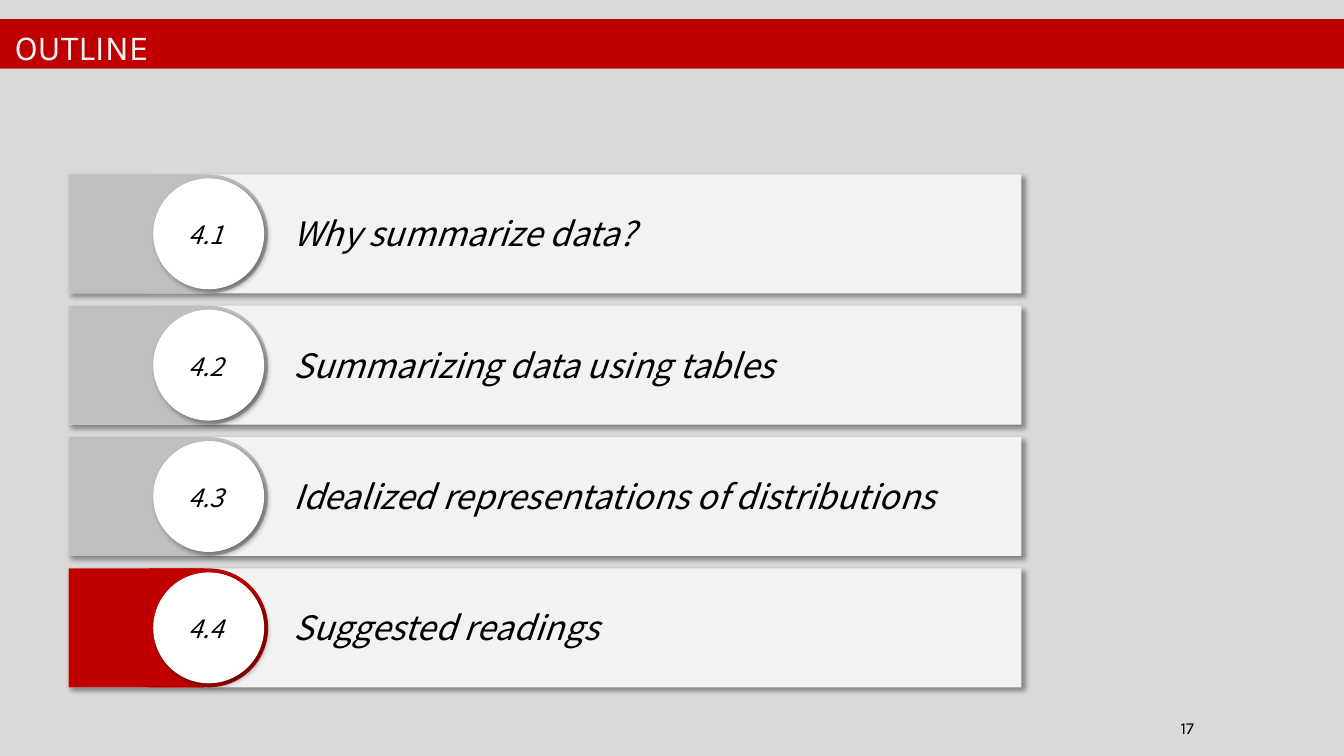
from lxml import etree
from pptx import Presentation
from pptx.dml.color import RGBColor
from pptx.enum import shapes, text
from pptx.oxml.ns import qn
from pptx.util import Inches, Pt

RED = RGBColor(0xC0, 0x00, 0x00)
BACKDROP = RGBColor(0xD9, 0xD9, 0xD9)
PANEL = RGBColor(0xF2, 0xF2, 0xF2)
GREY = RGBColor(0xBF, 0xBF, 0xBF)
WHITE = RGBColor(0xFF, 0xFF, 0xFF)
BLACK = RGBColor(0x00, 0x00, 0x00)
HEADING_FONT = "Karla"
BODY_FONT = "Noto Sans CJK JP"
SHAPE = shapes.MSO_SHAPE

TOPICS = [
    ("4.1", "Why summarize data?", GREY),
    ("4.2", "Summarizing data using tables", GREY),
    ("4.3", "Idealized representations of distributions", GREY),
    ("4.4", "Suggested readings", RED),
]
ROW_HEIGHT = 1.18
ROW_PITCH = 1.303


def add_block(page, kind, left, top, width, height, color, shadowed=False):
    """Add a borderless filled shape, with a soft shadow if asked."""
    block = page.shapes.add_shape(
        kind, Inches(left), Inches(top), Inches(width), Inches(height))
    block.fill.solid()
    block.fill.fore_color.rgb = color
    block.line.fill.background()
    block.shadow.inherit = False
    if shadowed:
        effects = block.element.spPr.find(qn("a:effectLst"))
        shadow = etree.SubElement(
            effects, qn("a:outerShdw"), blurRad=str(Pt(4)), dist=str(Pt(3)),
            dir=str(45 * 60000), algn="tl", rotWithShape="0")
        tint = etree.SubElement(shadow, qn("a:srgbClr"), val=str(BLACK))
        etree.SubElement(tint, qn("a:alpha"), val="40000")
    return block


def add_label(page, left, top, width, height, words, size, font, color,
              italic=False, wrap=True):
    """Add a one-line text box and return it."""
    box = page.shapes.add_textbox(
        Inches(left), Inches(top), Inches(width), Inches(height))
    box.text_frame.word_wrap = wrap
    para = box.text_frame.paragraphs[0]
    para.text = words
    para.font.size = Pt(size)
    para.font.name = font
    para.font.color.rgb = color
    para.font.italic = italic
    return box


def add_header(page, left, top, width, height):
    """Draw the title band and its heading."""
    add_block(page, SHAPE.RECTANGLE, left, top, width, height, RED)
    title = add_label(page, left + 0.05, top + 0.12, width - 0.05, 0.37,
                      "OUTLINE", 25.2, HEADING_FONT, PANEL)
    title.text_frame.vertical_anchor = text.MSO_ANCHOR.MIDDLE
    title.text_frame.paragraphs[0].line_spacing = 0.85


def add_topic(page, left, top, width, height, number, topic, color):
    """Draw one outline row: panel, coloured tab, number disc and topic."""
    add_block(page, SHAPE.RECTANGLE, left, top, width, height, PANEL, True)
    add_block(page, SHAPE.FLOWCHART_DELAY, left + 0.8, top, height, height, color)
    add_block(page, SHAPE.RECTANGLE, left, top, 1.34, height, color)
    add_label(page, left + 2.13, top + 0.335, width - 2.4, 0.5, topic, 24,
              BODY_FONT, BLACK, italic=True)
    disc = height - 0.08
    add_block(page, SHAPE.OVAL, left + 0.84, top + 0.04, disc, disc, WHITE, True)
    badge = add_label(page, left + 1.07, top + 0.4, 0.58, 0.4, number, 18,
                      BODY_FONT, BLACK, italic=True, wrap=False)
    badge.text_frame.paragraphs[0].alignment = text.PP_ALIGN.CENTER


def add_page_number(page, left, top, width, height):
    """Place the page number."""
    box = add_label(page, left, top, width, height, "17", 12, HEADING_FONT, BLACK)
    box.text_frame.margin_left = Inches(0.05)
    box.text_frame.vertical_anchor = text.MSO_ANCHOR.MIDDLE


def main():
    """Build the outline slide and save it."""
    deck = Presentation()
    deck.slide_width = Inches(13.33)
    deck.slide_height = Inches(7.5)
    page = deck.slides.add_slide(deck.slide_layouts[6])
    page.background.fill.solid()
    page.background.fill.fore_color.rgb = BACKDROP
    add_header(page, 0, 0.19, 13.33, 0.49)
    for row, (number, topic, color) in enumerate(TOPICS):
        add_topic(page, 0.68, 1.73 + row * ROW_PITCH, 9.45, ROW_HEIGHT,
                  number, topic, color)
    add_page_number(page, 11.66, 7.02, 1.03, 0.4)
    deck.save("out.pptx")


if __name__ == "__main__":
    main()
